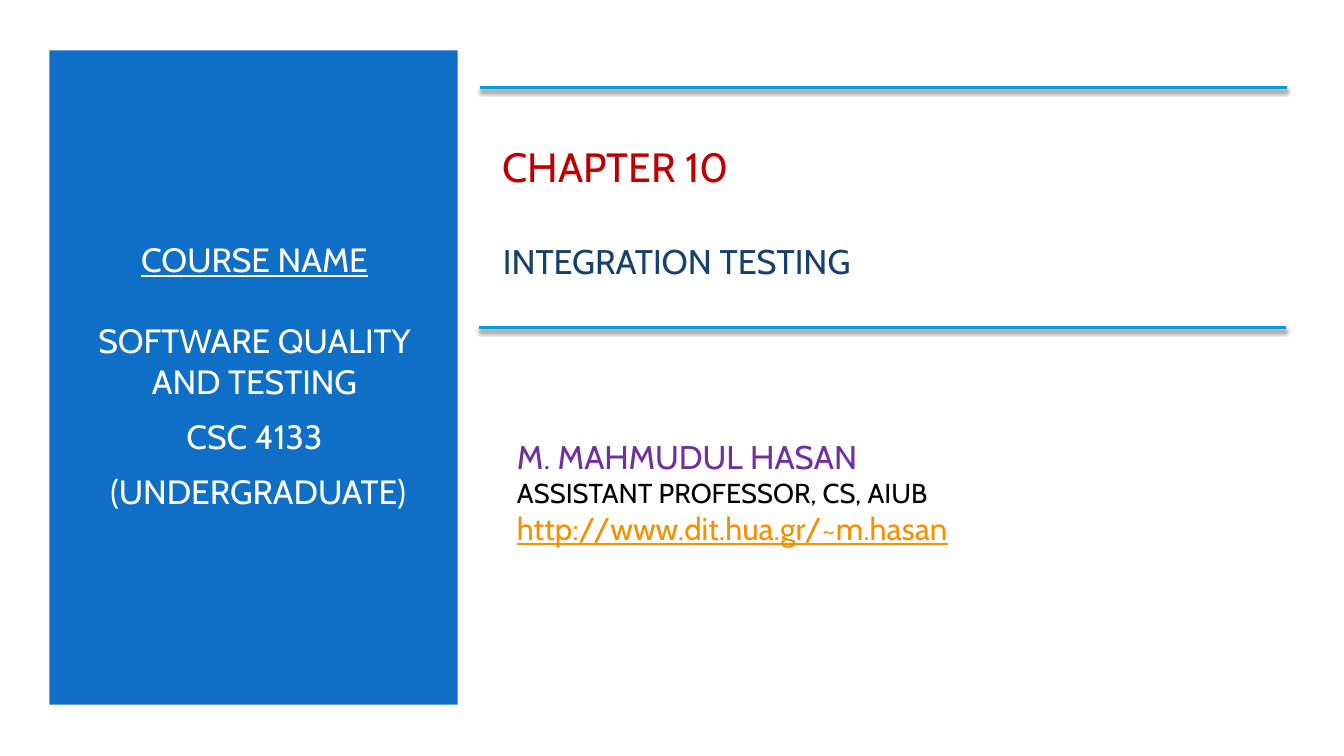
from dataclasses import dataclass

from lxml import etree
from pptx import Presentation
from pptx import util as u
from pptx.dml.color import RGBColor
from pptx.enum import shapes, text
from pptx.oxml import ns


@dataclass(frozen=True)
class Theme:
    """Colours, font and type sizes of the slide."""
    font: str = "Cabin"
    panel: str = "0F6FC6"
    rule: str = "009DD9"
    shadow: str = "000000"
    white: str = "FFFFFF"
    chapter: str = "C00000"
    topic: str = "17406D"
    teacher: str = "7030A0"
    post: str = "000000"
    link: str = "F49100"
    course_size: float = 24
    chapter_size: float = 29.2
    topic_size: float = 24.4
    teacher_size: float = 23.4
    post_size: float = 19.5
    link_size: float = 22.4


THEME = Theme()


def set_attributes(target, values):
    """Set every named value on the target."""
    for name, value in values.items():
        setattr(target, name, value)


def add_panel(slide, left, top, width, height):
    """Draw the solid course panel."""
    panel = slide.shapes.add_shape(
        shapes.MSO_SHAPE.RECTANGLE, *map(u.Pt, (left, top, width, height)))
    panel.shadow.inherit = False
    panel.fill.solid()
    panel.fill.fore_color.rgb = RGBColor.from_string(THEME.panel)
    panel.line.fill.background()


def add_rule(slide, left, top, width):
    """Draw a horizontal rule with a soft shadow below it."""
    rule = slide.shapes.add_connector(
        shapes.MSO_CONNECTOR.STRAIGHT, *map(u.Pt, (left, top, left + width, top)))
    rule.line.width = u.Pt(2)
    rule.line.color.rgb = RGBColor.from_string(THEME.rule)
    effects = etree.SubElement(rule.element.spPr, ns.qn("a:effectLst"))
    shadow = etree.SubElement(
        effects, ns.qn("a:outerShdw"), blurRad=str(u.Pt(3)), dist=str(u.Pt(2)),
        dir="5400000", algn="ctr", rotWithShape="0")
    colour = etree.SubElement(shadow, ns.qn("a:srgbClr"), val=THEME.shadow)
    etree.SubElement(colour, ns.qn("a:alpha"), val="55000")


def add_text(slide, left, top, width, height, lines, align=text.PP_ALIGN.LEFT):
    """Add a middle-anchored box of (words, size, colour, underline, before, after)."""
    frame = slide.shapes.add_textbox(
        *map(u.Pt, (left, top, width, height))).text_frame
    set_attributes(frame, {"word_wrap": True,
                           "vertical_anchor": text.MSO_ANCHOR.MIDDLE})
    for index, (words, size, colour, underline, before, after) in enumerate(lines):
        paragraph = frame.add_paragraph() if index else frame.paragraphs[0]
        set_attributes(paragraph, {"alignment": align, "space_after": u.Pt(after)})
        if index:
            paragraph.space_before = u.Pt(before)
        run = paragraph.add_run()
        run.text = words
        set_attributes(run.font, {"name": THEME.font, "size": u.Pt(size),
                                  "underline": underline})
        run.font.color.rgb = RGBColor.from_string(colour)


def main():
    """Build and save the chapter title slide."""
    deck = Presentation()
    set_attributes(deck, {"slide_width": u.Pt(960), "slide_height": u.Pt(540)})
    slide = deck.slides.add_slide(deck.slide_layouts[6])

    add_panel(slide, 35.3, 36, 291.6, 467.3)
    course = [("COURSE NAME", True, 0, 0),
              ("SOFTWARE QUALITY AND TESTING", False, 29, 6),
              ("CSC 4133", False, 4.8, 6),
              (" (UNDERGRADUATE)", False, 4.8, 6)]
    add_text(slide, 60.5, 79.2, 242.6, 378,
             [(words, THEME.course_size, THEME.white, *style)
              for words, *style in course], text.PP_ALIGN.CENTER)
    add_text(slide, 352.1, 79.2, 565.2, 144, [
        ("CHAPTER 10", THEME.chapter_size, THEME.chapter, False, 0, 0),
        ("INTEGRATION TESTING", THEME.topic_size, THEME.topic, False, 35.5, 0)])
    add_text(slide, 362.2, 295.2, 479.5, 112.3, [
        ("M. MAHMUDUL HASAN", THEME.teacher_size, THEME.teacher, False, 0, 0),
        ("ASSISTANT PROFESSOR, CS, AIUB", THEME.post_size, THEME.post, False, 0, 0),
        ("http://www.dit.hua.gr/~m.hasan", THEME.link_size, THEME.link, True, 0, 0)])
    for left, top in ((342.7, 62.6), (342, 234)):
        add_rule(slide, left, top, 576.7)

    deck.save("out.pptx")


if __name__ == "__main__":
    main()
